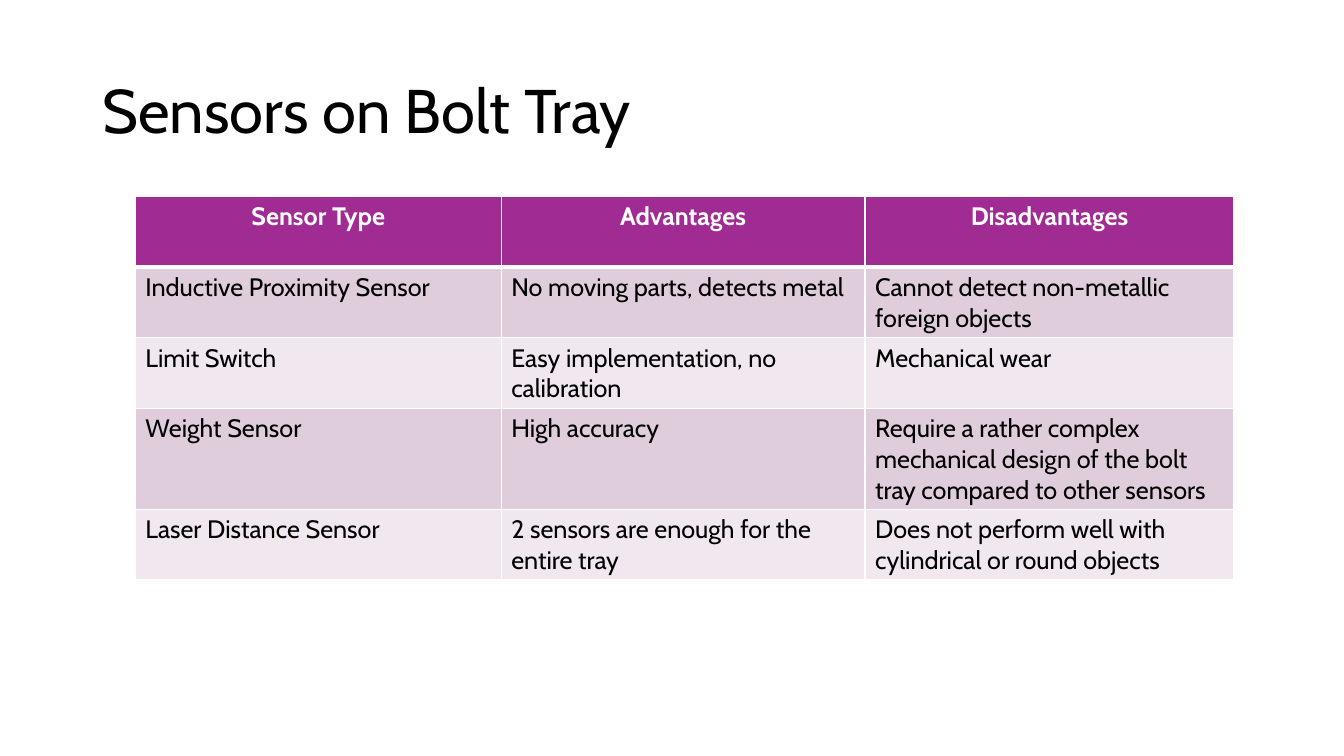
from lxml import etree
from pptx import Presentation, util as u
from pptx.dml.color import RGBColor
from pptx.enum import text as t
from pptx.oxml.ns import qn

# Content
TITLE = "Sensors on Bolt Tray"
ROWS = [
    ("Sensor Type", "Advantages", "Disadvantages"),
    ("Inductive Proximity Sensor", "No moving parts, detects metal",
     "Cannot detect non-metallic foreign objects"),
    ("Limit Switch", "Easy implementation, no calibration", "Mechanical wear"),
    ("Weight Sensor", "High accuracy",
     "Require a rather complex mechanical design of the bolt tray "
     "compared to other sensors"),
    ("Laser Distance Sensor", "2 sensors are enough for the entire tray",
     "Does not perform well with cylindrical or round objects"),
]
COLORS = {"ink": "000000", "white": "FFFFFF", "head": "A02B93",
          "dark": "DFCDDC", "light": "F0E8EE"}
FONT = "Cabin"
WIDTHS = (9.22, 9.17, 9.3)
HEIGHT = 1.78


def write(frame, words, size=18, color="ink", bold=False,
          align=t.PP_ALIGN.LEFT, space=1.0):
    para = frame.paragraphs[0]
    para.alignment, para.line_spacing = align, space
    run = para.add_run()
    run.text = words
    font = run.font
    font.name, font.size, font.bold = FONT, u.Pt(size), bold
    font.color.rgb = RGBColor.from_string(COLORS[color])


def edge(cell, side, points):
    props = cell._tc.get_or_add_tcPr()
    line = etree.SubElement(props, qn("a:ln" + side), w=str(u.Pt(points)))
    fill = etree.SubElement(line, qn("a:solidFill"))
    etree.SubElement(fill, qn("a:srgbClr"), val=COLORS["white"])


deck = Presentation()
deck.slide_width, deck.slide_height = u.Cm(33.87), u.Cm(19.05)
slide = deck.slides.add_slide(deck.slide_layouts[6])

# Title
box = slide.shapes.add_textbox(u.Cm(2.33), u.Cm(1.01), u.Cm(29.21), u.Cm(3.68))
frame = box.text_frame
frame.word_wrap = True
frame.vertical_anchor = t.MSO_ANCHOR.MIDDLE
write(frame, TITLE, size=44, space=0.9)

# Sensor table
table = slide.shapes.add_table(
    len(ROWS), len(WIDTHS), u.Cm(3.41), u.Cm(4.95),
    u.Cm(sum(WIDTHS)), u.Cm(HEIGHT * len(ROWS))).table
for col, width in zip(table.columns, WIDTHS):
    col.width = u.Cm(width)
for r, row in enumerate(ROWS):
    table.rows[r].height = u.Cm(HEIGHT)
    head = r == 0
    shade = "head" if head else "dark" if r % 2 else "light"
    for c, words in enumerate(row):
        cell = table.cell(r, c)
        for side in "LRTB":
            thick = (head and side == "B") or (r == 1 and side == "T")
            edge(cell, side, 3 if thick else 1)
        cell.fill.solid()
        cell.fill.fore_color.rgb = RGBColor.from_string(COLORS[shade])
        write(cell.text_frame, words, bold=head,
              color="white" if head else "ink",
              align=t.PP_ALIGN.CENTER if head else t.PP_ALIGN.LEFT)

deck.save("out.pptx")
